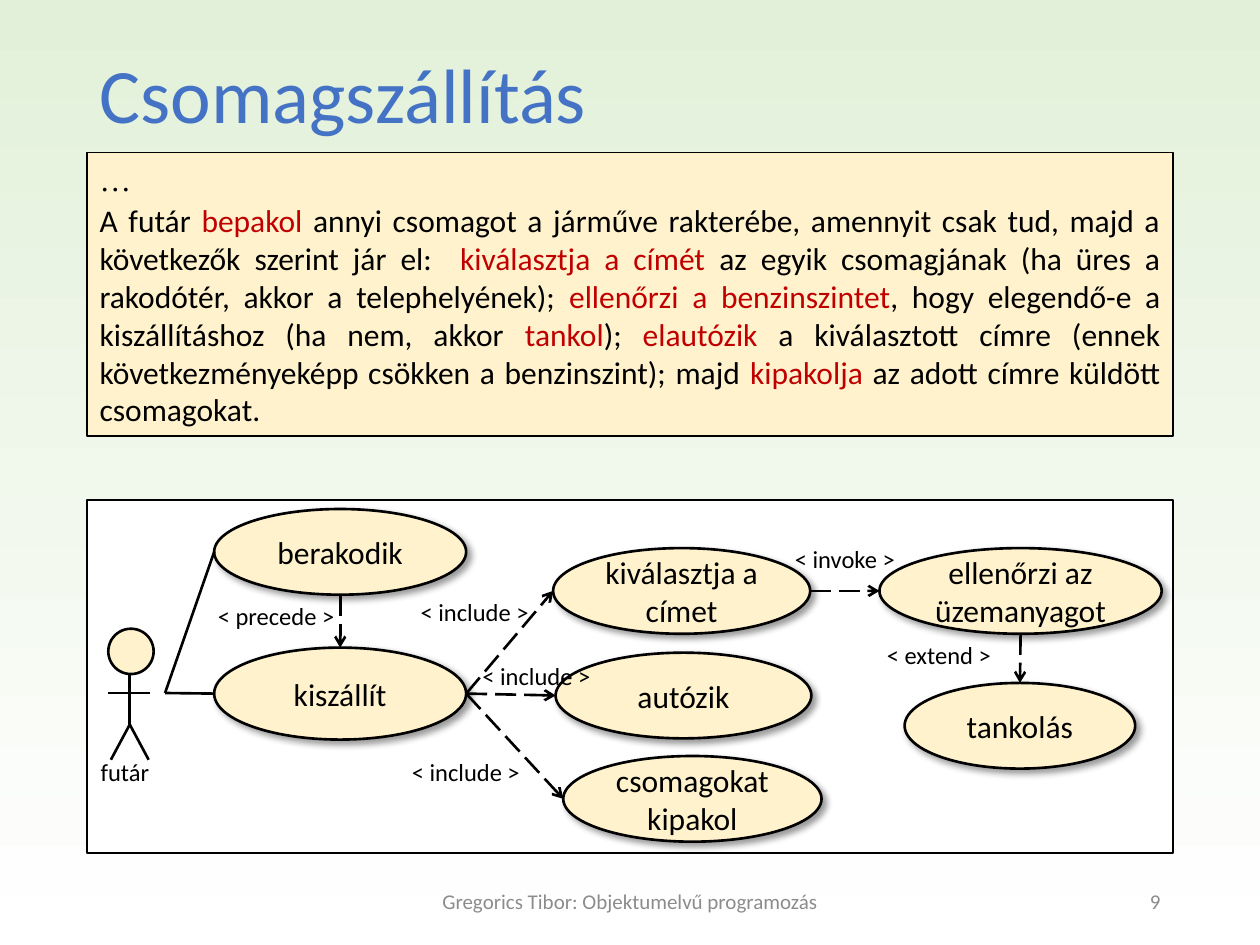
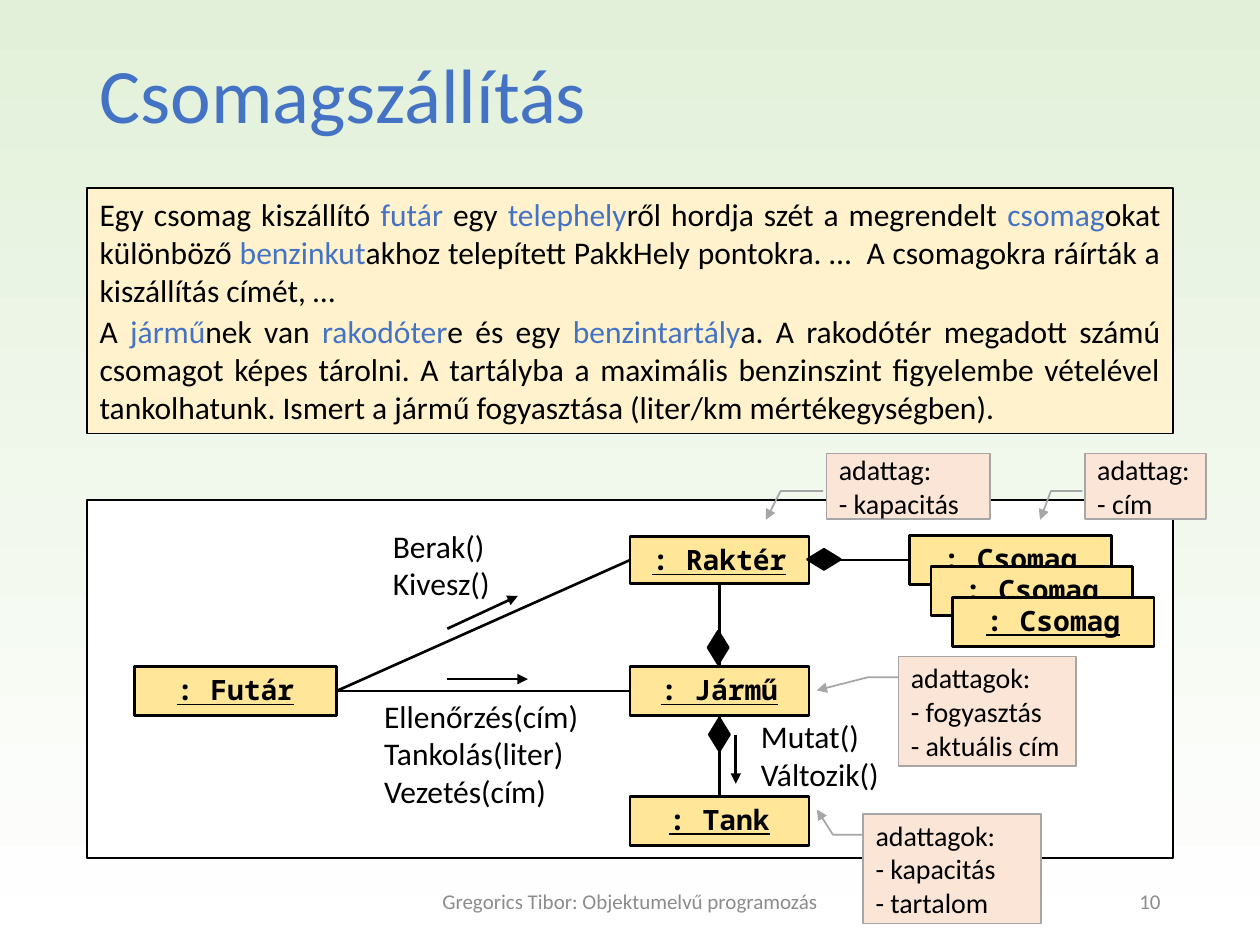
import dataclasses

import lxml.etree
import pptx
import pptx.dml.color
import pptx.enum.dml
import pptx.enum.shapes
import pptx.enum.text
import pptx.oxml.ns
import pptx.util

SHAPE = pptx.enum.shapes.MSO_SHAPE
ALIGN = pptx.enum.text.PP_ALIGN
ANCHOR = pptx.enum.text.MSO_ANCHOR
TOP, LEFT, BOTTOM, RIGHT = range(4)
COLUMNS, ROWS = 100, 75


@dataclasses.dataclass(frozen=True)
class Theme:
    ink: str = "000000"
    paper: str = "FFFFFF"
    mint: str = "E2F0D9"
    blue: str = "4472C4"
    red: str = "C00000"
    cream: str = "FFF2CC"
    gold: str = "FFE699"
    peach: str = "FBE5D6"
    grey: str = "A6A6A6"
    footer_grey: str = "8C8C8C"
    font: str = "Calibri"
    mono: str = "Noto Sans Mono"
    serif: str = "Times New Roman"
    title_size: int = 44
    text_size: int = 18
    note_size: int = 16
    label_size: int = 14
    footer_size: int = 12
    thin: float = 1
    thick: float = 1.5


THEME = Theme()


def rgb(code):
    return pptx.dml.color.RGBColor.from_string(code)


def add_xml(parent, tag, **attributes):
    return lxml.etree.SubElement(parent, pptx.oxml.ns.qn(tag), **attributes)


def write(frame, *lines, size=THEME.text_size, font=THEME.font, color=THEME.ink, accent=THEME.ink,
          align=ALIGN.LEFT, anchor=ANCHOR.TOP, wrap=True, bold=False, underline=False):
    frame.word_wrap = wrap
    frame.auto_size = pptx.enum.text.MSO_AUTO_SIZE.NONE
    frame.vertical_anchor = anchor
    for index, line in enumerate(lines):
        paragraph = frame.add_paragraph() if index else frame.paragraphs[0]
        paragraph.alignment = align
        for part, words in enumerate(line.split("*")):
            run = paragraph.add_run()
            run.text = words
            run.font.name = font
            run.font.size = pptx.util.Pt(size)
            run.font.bold = bold
            run.font.underline = underline
            run.font.color.rgb = rgb(accent if part % 2 else color)
    return frame


class Deck:
    """Draws styled elements on the current slide, placed on a 100 by 75 grid."""

    def __init__(self, theme):
        self.theme = theme
        self.presentation = pptx.Presentation()
        self.presentation.slide_width = pptx.util.Inches(10)
        self.presentation.slide_height = pptx.util.Inches(7.5)
        background = self.presentation.slide_master.background.fill
        background.gradient()
        background.gradient_angle = 90
        for stop, color in zip(background.gradient_stops, (theme.paper, theme.mint)):
            stop.color.rgb = rgb(color)

    def x(self, column):
        return round(self.presentation.slide_width * column / COLUMNS)

    def y(self, row):
        return round(self.presentation.slide_height * row / ROWS)

    def area(self, left, top, width, height):
        return self.x(left), self.y(top), self.x(width), self.y(height)

    def move(self, shape, *area):
        shape.left, shape.top, shape.width, shape.height = self.area(*area)

    def paint(self, shape, fill, line, width):
        shape.fill.solid()
        shape.fill.fore_color.rgb = rgb(fill)
        shape.line.color.rgb = rgb(line)
        shape.line.width = pptx.util.Pt(width)

    def start(self, title, number):
        self.slide = self.presentation.slides.add_slide(self.presentation.slide_layouts[1])
        heading = self.slide.shapes.title
        self.move(heading, 6.9, 4, 86.2, 14.5)
        write(heading.text_frame, title, size=self.theme.title_size, color=self.theme.blue)
        heading.text_frame.paragraphs[0].line_spacing = 0.9
        for text, left, width, align in (
                ("Gregorics Tibor: Objektumelvű programozás", 33.1, 33.8, ALIGN.CENTER),
                (str(number), 70.6, 22.5, ALIGN.RIGHT)):
            self.label((left, 69.5, width, 4), text, size=self.theme.footer_size,
                       color=self.theme.footer_grey, align=align, anchor=ANCHOR.MIDDLE)

    def story(self, top, height, accent, *lines):
        body = self.slide.placeholders[1]
        self.move(body, 6.9, top, 86.2, height)
        self.paint(body, self.theme.cream, self.theme.ink, self.theme.thin)
        write(body.text_frame, *lines, accent=accent, align=ALIGN.JUSTIFY, anchor=ANCHOR.MIDDLE)
        for paragraph in body.text_frame.paragraphs:
            paragraph.space_before = paragraph.space_after = pptx.util.Pt(1)
            properties = paragraph._p.get_or_add_pPr()
            properties.set("marL", "0")
            properties.set("indent", "0")
            add_xml(properties, "a:buNone")
        return body.text_frame

    def label(self, area, *lines, **text_format):
        write(self.slide.shapes.add_textbox(*self.area(*area)).text_frame, *lines, **text_format)

    def shape(self, kind, area, fill, line=THEME.ink, width=THEME.thick):
        shape = self.slide.shapes.add_shape(kind, *self.area(*area))
        shape.shadow.inherit = False
        self.paint(shape, fill, line, width)
        return shape

    def panel(self, height):
        self.shape(SHAPE.RECTANGLE, (6.9, 39.7, 86.2, height), self.theme.paper,
                   width=self.theme.thin)

    def use_case(self, area, name):
        oval = self.shape(SHAPE.OVAL, area, self.theme.cream)
        write(oval.text_frame, name, align=ALIGN.CENTER, anchor=ANCHOR.MIDDLE)
        effects = oval.element.spPr.find(pptx.oxml.ns.qn("a:effectLst"))
        shadow = add_xml(effects, "a:outerShdw", blurRad="50800", dist="38100", dir="2700000",
                         algn="tl", rotWithShape="0")
        add_xml(add_xml(shadow, "a:srgbClr", val=self.theme.ink), "a:alpha", val="40000")
        return oval

    def object_box(self, left, top, width, name, height=3.9):
        box = self.shape(SHAPE.RECTANGLE, (left, top, width, height), self.theme.gold)
        write(box.text_frame, name, size=self.theme.note_size, font=self.theme.mono,
              align=ALIGN.CENTER, bold=True, underline=True)
        return box

    def diamond(self, column, row, width=1.6, height=2.6):
        self.shape(SHAPE.DIAMOND, (column - width / 2, row - height / 2, width, height),
                   self.theme.ink)

    def callout(self, area, pointer, *lines):
        note = self.shape(SHAPE.LINE_CALLOUT_2, area, self.theme.peach, self.theme.grey,
                          self.theme.thin)
        for index, share in enumerate(pointer):
            note.adjustments[index] = share
        self.arrowhead(note, "triangle")
        write(note.text_frame, *lines, size=self.theme.note_size, anchor=ANCHOR.MIDDLE)

    def arrowhead(self, shape, kind):
        add_xml(shape.element.spPr.find(pptx.oxml.ns.qn("a:ln")), "a:tailEnd", type=kind)

    def point(self, end):
        place, side = end
        if isinstance(place, (int, float)):
            return self.x(place), self.y(side)
        across = {LEFT: 0, RIGHT: 1}.get(side, 0.5)
        down = {TOP: 0, BOTTOM: 1}.get(side, 0.5)
        return (round(place.left + across * place.width),
                round(place.top + down * place.height))

    def link(self, begin, end, arrow=None, dashed=False):
        line = self.slide.shapes.add_connector(pptx.enum.shapes.MSO_CONNECTOR.STRAIGHT,
                                               *self.point(begin), *self.point(end))
        for (place, side), join in ((begin, line.begin_connect), (end, line.end_connect)):
            if getattr(place, "auto_shape_type", None) == SHAPE.RECTANGLE:
                join(place, side)
        line.line.color.rgb = rgb(self.theme.ink)
        line.line.width = pptx.util.Pt(self.theme.thick)
        if dashed:
            line.line.dash_style = pptx.enum.dml.MSO_LINE.LONG_DASH
        if arrow:
            self.arrowhead(line, arrow)
        add_xml(line.element.spPr, "a:effectLst")

    def actor(self, name):
        self.shape(SHAPE.OVAL, (8.6, 49.9, 3.6, 3.6), self.theme.cream)
        neck, hip = (10.3, 53.5), (10.3, 57.5)
        for begin, end in ((neck, hip), (hip, (11.8, 60.3)), (hip, (8.8, 60.3)),
                           ((8.6, 55), (11.9, 55))):
            self.link(begin, end)
        self.label((7, 59.6, 5.9, 3.4), name, size=self.theme.label_size, wrap=False)


def use_case_slide(deck):
    deck.start("Csomagszállítás", 9)
    story = deck.story(
        12.1, 22.5, THEME.red, "…",
        "A futár *bepakol* annyi csomagot a járműve rakterébe, amennyit csak tud, majd a "
        "következők szerint jár el:  *kiválasztja a címét *az egyik csomagjának (ha üres a "
        "rakodótér, akkor a telephelyének); *ellenőrzi a benzinszintet*, hogy elegendő-e a "
        "kiszállításhoz (ha nem, akkor *tankol*); *elautózik* a kiválasztott címre (ennek "
        "következményeképp csökken a benzinszint); majd *kipakolja* az adott címre küldött "
        "csomagokat.")
    story.paragraphs[0].runs[0].font.name = THEME.serif
    deck.panel(28)
    deck.actor("futár")

    load = deck.use_case((17, 40.4, 20, 6.8), "berakodik")
    deliver = deck.use_case((17, 51.4, 20, 7.3), "kiszállít")
    choose = deck.use_case((43.9, 43.5, 20.4, 6.8), "kiválasztja a címet")
    drive = deck.use_case((44.1, 51.8, 20.3, 6.8), "autózik")
    unload = deck.use_case((44.7, 60, 20.5, 6.8), "csomagokat kipakol")
    check = deck.use_case((69.8, 43.5, 22.4, 6.8), "ellenőrzi az üzemanyagot")
    refuel = deck.use_case((71.8, 54.2, 18.3, 6.8), "tankolás")

    for task in (load, deliver):
        deck.link((task, LEFT), (13.1, 55))
    relations = [((load, BOTTOM), (deliver, TOP)), ((choose, RIGHT), (check, LEFT)),
                 ((check, BOTTOM), (refuel, TOP))]
    relations += [((deliver, RIGHT), (step, LEFT)) for step in (choose, drive, unload)]
    for begin, end in relations:
        deck.link(begin, end, arrow="arrow", dashed=True)

    for left, top, width, relation in (
            (16.3, 47.2, 11.8, "precede"), (32.4, 46.9, 10.7, "include"),
            (37.3, 52, 10.7, "include"), (31.7, 59.6, 10.7, "include"),
            (69.4, 50.3, 10.4, "extend"), (62.1, 42.7, 10, "invoke")):
        deck.label((left, top, width, 3.4), f"< {relation} >", size=THEME.label_size, wrap=False)


def object_slide(deck):
    deck.start("Csomagszállítás", 10)
    deck.story(
        14.9, 19.5, THEME.blue,
        "Egy csomag kiszállító *futár* egy *telephely*ről hordja szét a megrendelt *csomag*okat "
        "különböző *benzinkut*akhoz telepített PakkHely pontokra. …  A csomagokra ráírták a "
        "kiszállítás címét, …",
        "A *jármű*nek van *rakodóter*e és egy *benzintartály*a. A rakodótér megadott számú "
        "csomagot képes tárolni. A tartályba a maximális benzinszint figyelembe vételével "
        "tankolhatunk. Ismert a jármű fogyasztása (liter/km mértékegységben).")
    deck.panel(28.4)

    courier = deck.object_box(10.7, 52.9, 16, ": Futár")
    hold = deck.object_box(50, 42.6, 14.2, ": Raktér", height=3.7)
    vehicle = deck.object_box(50, 52.9, 14.2, ": Jármű")
    tank = deck.object_box(50, 63.2, 14.2, ": Tank")
    parcels = [deck.object_box(72.2 + 1.7 * step, 42.5 + 2.45 * step, 16, ": Csomag")
               for step in range(3)]

    for begin, end in (((courier, RIGHT), (vehicle, LEFT)), ((courier, RIGHT), (hold, LEFT)),
                       ((hold, BOTTOM), (vehicle, TOP)), ((vehicle, BOTTOM), (tank, TOP)),
                       ((parcels[0], LEFT), (hold, RIGHT))):
        deck.link(begin, end)
    deck.diamond(57.1, 58.3)
    deck.diamond(57, 51.4)
    deck.diamond(65.4, 44.4, width=2.6, height=1.6)

    for begin, end in (((35.5, 53.9), (41.9, 53.9)), ((35.5, 49.9), (41.1, 47.3)),
                       ((58.4, 58.3), (58.4, 62.2))):
        deck.link(begin, end, arrow="triangle")
    deck.label((29.5, 54.8, 17.9, 10.1), "Ellenőrzés(cím)", "Tankolás(liter)", "Vezetés(cím)")
    deck.label((30.2, 41.3, 11, 7.1), "Berak()", "Kivesz()")
    deck.label((59.4, 56.4, 13.2, 7.1), "Mutat()", "Változik()")

    high_pointer = (0.57, -0.02, 0.57, -0.28, 1.01, -0.37)
    low_pointer = (0.19, 0, 0.19, -0.17)
    deck.callout((65.6, 36, 13, 5.2), high_pointer, "adattag:", "- kapacitás")
    deck.callout((86.1, 36, 9.6, 5.2), high_pointer, "adattag:", "- cím")
    deck.callout((68.5, 64.6, 14.1, 8.7), low_pointer + (-0.04, -0.32 + 0.06),
                 "adattagok:", "- kapacitás", "- tartalom")
    deck.callout((71.3, 52.1, 14.1, 8.7), low_pointer + (0.31, -0.46),
                 "adattagok:", "- fogyasztás", "- aktuális cím")


def main():
    deck = Deck(THEME)
    use_case_slide(deck)
    object_slide(deck)
    deck.presentation.save("out.pptx")


if __name__ == "__main__":
    main()
